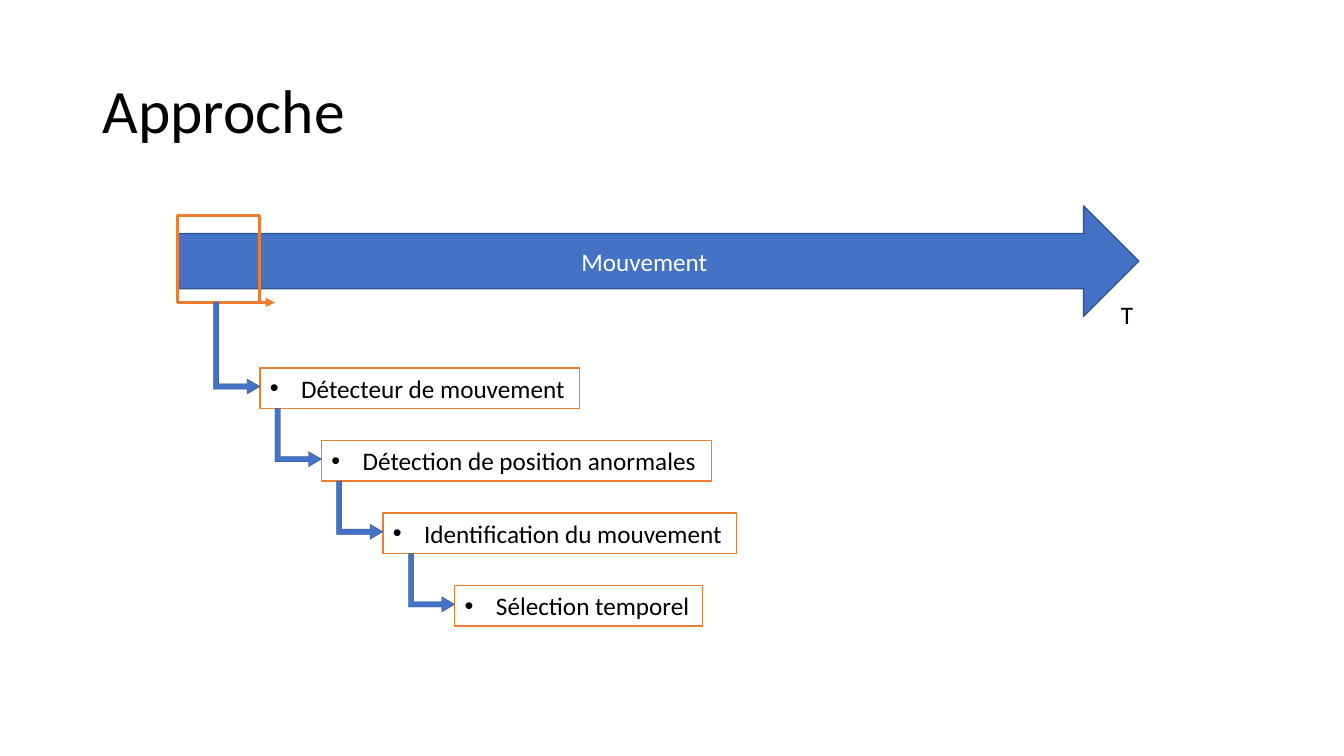
"""Build the "Approche" slide: a movement timeline and its cascade of analysis steps."""
from lxml.etree import SubElement
from pptx import Presentation
from pptx.dml.color import RGBColor
from pptx.enum.shapes import MSO_CONNECTOR, MSO_SHAPE
from pptx.enum.text import MSO_ANCHOR, MSO_AUTO_SIZE, PP_ALIGN
from pptx.oxml.ns import qn
from pptx.util import Cm, Pt

TITLE = "Approche"
TIMELINE = "Mouvement"
TIME_AXIS = "T"
STEPS = [
    ("Détecteur de mouvement", 6.55, 8.05),
    ("Détection de position anormales", 8.1, 9.83),
    ("Identification du mouvement", 9.65, 8.92),
    ("Sélection temporel", 11.46, 6.25),
]

FONT = "Calibri"
BLUE, NAVY, ORANGE = "4472C4", "325491", "ED7D31"
BLACK, WHITE = "000000", "FFFFFF"

WINDOW = (4.47, 5.44, 2.08, 2.18)
SLIDE_END = 6.93
STEP_TOP, STEP_PITCH, STEP_H = 9.27, 1.83, 1.02
ELBOW_W, ELBOW_REACH = 1.17, 0.66
ELBOW_ADJUSTMENTS = (0.114, 0.162, 0.277)
BULLET_INDENT = Cm(0.79)


def rgb(color):
    return RGBColor.from_string(color)


def add_text(tf, text, color, size=18, align=PP_ALIGN.LEFT):
    p = tf.paragraphs[0]
    p.alignment = align
    r = p.add_run()
    r.text = text
    r.font.name = FONT
    r.font.size = Pt(size)
    r.font.color.rgb = rgb(color)
    return p


def add_box(s, kind, box, fill, line, width):
    sp = s.shapes.add_shape(kind, *map(Cm, box))
    sp.shadow.inherit = False
    if fill:
        sp.fill.solid()
        sp.fill.fore_color.rgb = rgb(fill)
    else:
        sp.fill.background()
    sp.line.color.rgb = rgb(line)
    sp.line.width = Pt(width)
    return sp


def add_bullet(p):
    pPr = p._p.get_or_add_pPr()
    pPr.set("marL", str(BULLET_INDENT))
    pPr.set("indent", str(-BULLET_INDENT))
    SubElement(pPr, qn("a:buFont")).set("typeface", "Arial")
    SubElement(pPr, qn("a:buChar")).set("char", "•")


def add_step(s, text, left, top, width):
    sp = add_box(s, MSO_SHAPE.RECTANGLE, (left, top, width, STEP_H), WHITE, ORANGE, 1)
    tf = sp.text_frame
    tf.word_wrap = False
    tf.vertical_anchor = MSO_ANCHOR.TOP
    add_bullet(add_text(tf, text, BLACK))


def add_elbow(s, right, top, bottom):
    length = bottom - top
    left = right - (ELBOW_W + length) / 2
    y = (top + bottom - ELBOW_W) / 2
    sp = add_box(s, MSO_SHAPE.BENT_UP_ARROW, (left, y, length, ELBOW_W), BLUE, NAVY, 0.25)
    sp.rotation = 90
    for i, value in enumerate(ELBOW_ADJUSTMENTS):
        sp.adjustments[i] = value


def add_slide_arrow(s, start, end, y):
    line = s.shapes.add_connector(MSO_CONNECTOR.STRAIGHT, Cm(start), Cm(y), Cm(end), Cm(y))
    line.line.color.rgb = rgb(ORANGE)
    line.line.width = Pt(2.25)
    SubElement(line.line._get_or_add_ln(), qn("a:tailEnd")).set("type", "triangle")
    SubElement(line._element.spPr, qn("a:effectLst"))


def main():
    prs = Presentation()
    prs.slide_width, prs.slide_height = Cm(33.87), Cm(19.05)
    s = prs.slides.add_slide(prs.slide_layouts[5])

    title = s.shapes.title
    title.left, title.top, title.width, title.height = map(Cm, (2.33, 1.01, 29.21, 3.68))
    tf = title.text_frame
    tf.auto_size = MSO_AUTO_SIZE.NONE
    tf.vertical_anchor = MSO_ANCHOR.MIDDLE
    add_text(tf, TITLE, BLACK, 44).line_spacing = 0.9

    timeline = add_box(s, MSO_SHAPE.RIGHT_ARROW, (4.47, 5.19, 24.23, 2.78), BLUE, NAVY, 1)
    timeline.text_frame.vertical_anchor = MSO_ANCHOR.MIDDLE
    add_text(timeline.text_frame, TIMELINE, WHITE, align=PP_ALIGN.CENTER)

    axis = s.shapes.add_textbox(Cm(28), Cm(7.42), Cm(0.81), Cm(1.02))
    axis.text_frame.word_wrap = False
    add_text(axis.text_frame, TIME_AXIS, BLACK)

    add_box(s, MSO_SHAPE.RECTANGLE, WINDOW, None, ORANGE, 2.25)
    window_bottom = WINDOW[1] + WINDOW[3]
    add_slide_arrow(s, WINDOW[0], SLIDE_END, window_bottom)

    previous_bottom = window_bottom
    for i, (text, left, width) in enumerate(STEPS):
        top = STEP_TOP + i * STEP_PITCH
        add_step(s, text, left, top, width)
        add_elbow(s, left, previous_bottom, top + ELBOW_REACH)
        previous_bottom = top + STEP_H

    prs.save("out.pptx")


if __name__ == "__main__":
    main()
